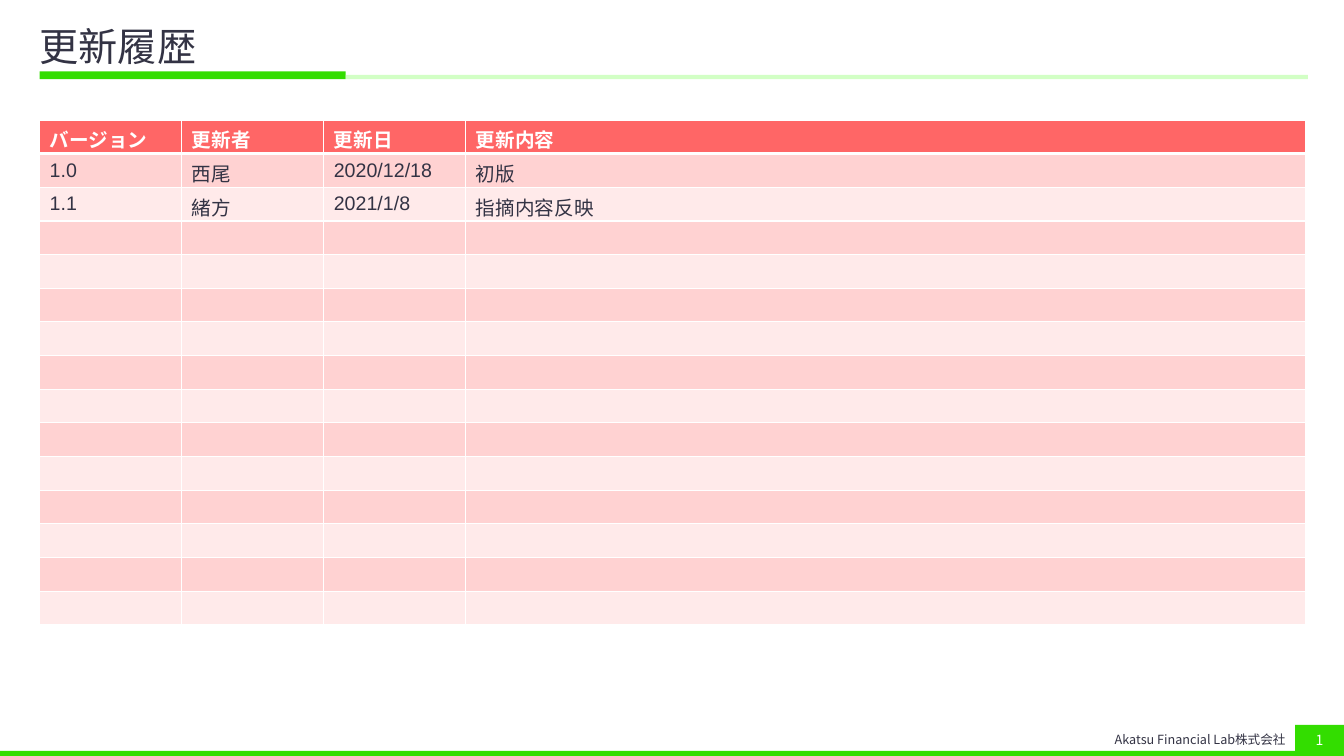
from lxml.etree import SubElement
from pptx import Presentation
from pptx.dml.color import RGBColor
from pptx.enum.shapes import MSO_SHAPE
from pptx.enum.text import MSO_ANCHOR, PP_ALIGN
from pptx.oxml import parse_xml
from pptx.oxml.ns import nsdecls, qn
from pptx.util import Pt

GREEN = RGBColor(0x33, 0xDD, 0x00)
PALE_GREEN = RGBColor(0xD2, 0xFF, 0xC5)
NAVY = RGBColor(0x33, 0x33, 0x44)
WHITE = RGBColor(0xFF, 0xFF, 0xFF)
HEADER_RED = RGBColor(0xFF, 0x66, 0x66)
BAND_COLORS = (RGBColor(0xFF, 0xEA, 0xEA), RGBColor(0xFF, 0xD2, 0xD2))

JAPANESE_FONT = "Noto Sans CJK JP"
TABLE_FONT = "Arial"
TABLE_TEXT_SIZE = 14
LEFT_MARGIN = 28.3
ROW_COUNT = 15
ROW_HEIGHT = 23
COLUMN_WIDTHS = (101.5, 101.5, 101.5, 600)
HISTORY = (
    ("バージョン", "更新者", "更新日", "更新内容"),
    ("1.0", "西尾", "2020/12/18", "初版"),
    ("1.1", "緒方", "2021/1/8", "指摘内容反映"),
)


def add_text(paragraph, text, size, color, font_name=JAPANESE_FONT, bold=False):
    run = paragraph.add_run()
    run.text = text
    run.font.size = Pt(size)
    run.font.bold = bold
    run.font.color.rgb = color
    run.font.name = font_name
    SubElement(run.font._element, qn("a:ea"), typeface=JAPANESE_FONT)


def add_bar(slide, left, top, width, height, color):
    bar = slide.shapes.add_shape(
        MSO_SHAPE.RECTANGLE, Pt(left), Pt(top), Pt(width), Pt(height)
    )
    bar.shadow.inherit = False
    bar.fill.solid()
    bar.fill.fore_color.rgb = color
    bar.line.fill.background()
    return bar


def set_title(slide, text):
    title = slide.shapes.title
    title.left, title.top = Pt(LEFT_MARGIN), Pt(14.4)
    title.width, title.height = Pt(906.5), Pt(40.3)
    frame = title.text_frame
    frame.margin_left, frame.margin_right = Pt(0), Pt(11.5)
    frame.vertical_anchor = MSO_ANCHOR.MIDDLE
    paragraph = frame.paragraphs[0]
    paragraph.alignment = PP_ALIGN.LEFT
    paragraph.line_spacing = 0.9
    add_text(paragraph, text, 28, NAVY)


def add_footer(slide, company, number):
    footer = slide.shapes.add_textbox(Pt(782), Pt(518.4), Pt(143.3), Pt(19.4))
    page = add_bar(slide, 925.2, 517.7, 34.8, 22.3, GREEN)
    for shape, text, size, color, alignment in (
        (footer, company, 9, NAVY, PP_ALIGN.RIGHT),
        (page, number, 10, WHITE, PP_ALIGN.CENTER),
    ):
        frame = shape.text_frame
        frame.word_wrap = True
        frame.vertical_anchor = MSO_ANCHOR.MIDDLE
        paragraph = frame.paragraphs[0]
        paragraph.alignment = alignment
        add_text(paragraph, text, size, color)


def set_borders(cell, top, bottom):
    properties = cell._tc.get_or_add_tcPr()
    sides = (("lnL", 1), ("lnR", 1), ("lnT", top), ("lnB", bottom))
    for index, (side, width) in enumerate(sides):
        border = parse_xml(
            f'<a:{side} {nsdecls("a")} w="{Pt(width)}"><a:solidFill>'
            f'<a:srgbClr val="{WHITE}"/></a:solidFill></a:{side}>'
        )
        properties.insert(index, border)


def fill_cell(cell, row_index, text):
    is_header = row_index == 0
    cell.fill.solid()
    cell.fill.fore_color.rgb = HEADER_RED if is_header else BAND_COLORS[row_index % 2]
    cell.vertical_anchor = MSO_ANCHOR.MIDDLE
    set_borders(cell, 3 if row_index == 1 else 1, 3 if is_header else 1)
    paragraph = cell.text_frame.paragraphs[0]
    if text:
        color = WHITE if is_header else NAVY
        add_text(paragraph, text, TABLE_TEXT_SIZE, color, TABLE_FONT, is_header)
    else:
        end = SubElement(paragraph._p, qn("a:endParaRPr"), sz=str(TABLE_TEXT_SIZE * 100))
        SubElement(end, qn("a:latin"), typeface=TABLE_FONT)


def add_history_table(slide):
    table = slide.shapes.add_table(
        ROW_COUNT, len(COLUMN_WIDTHS), Pt(LEFT_MARGIN), Pt(85.7),
        Pt(sum(COLUMN_WIDTHS)), Pt(ROW_COUNT * ROW_HEIGHT),
    ).table
    for column, width in zip(table.columns, COLUMN_WIDTHS):
        column.width = Pt(width)
    for row_index, row in enumerate(table.rows):
        row.height = Pt(ROW_HEIGHT)
        texts = HISTORY[row_index] if row_index < len(HISTORY) else [""] * len(COLUMN_WIDTHS)
        for cell, text in zip(row.cells, texts):
            fill_cell(cell, row_index, text)


def main():
    presentation = Presentation()
    presentation.slide_width = Pt(960)
    presentation.slide_height = Pt(540)
    slide = presentation.slides.add_slide(presentation.slide_layouts[5])
    add_bar(slide, LEFT_MARGIN, 51, 218.7, 5.6, GREEN)
    add_bar(slide, 247, 53.5, 687.3, 3.1, PALE_GREEN)
    add_bar(slide, 0, 536.4, 960, 3.6, GREEN)
    set_title(slide, "更新履歴")
    add_footer(slide, "Akatsu Financial Lab株式会社", "1")
    add_history_table(slide)
    presentation.save("out.pptx")


if __name__ == "__main__":
    main()
